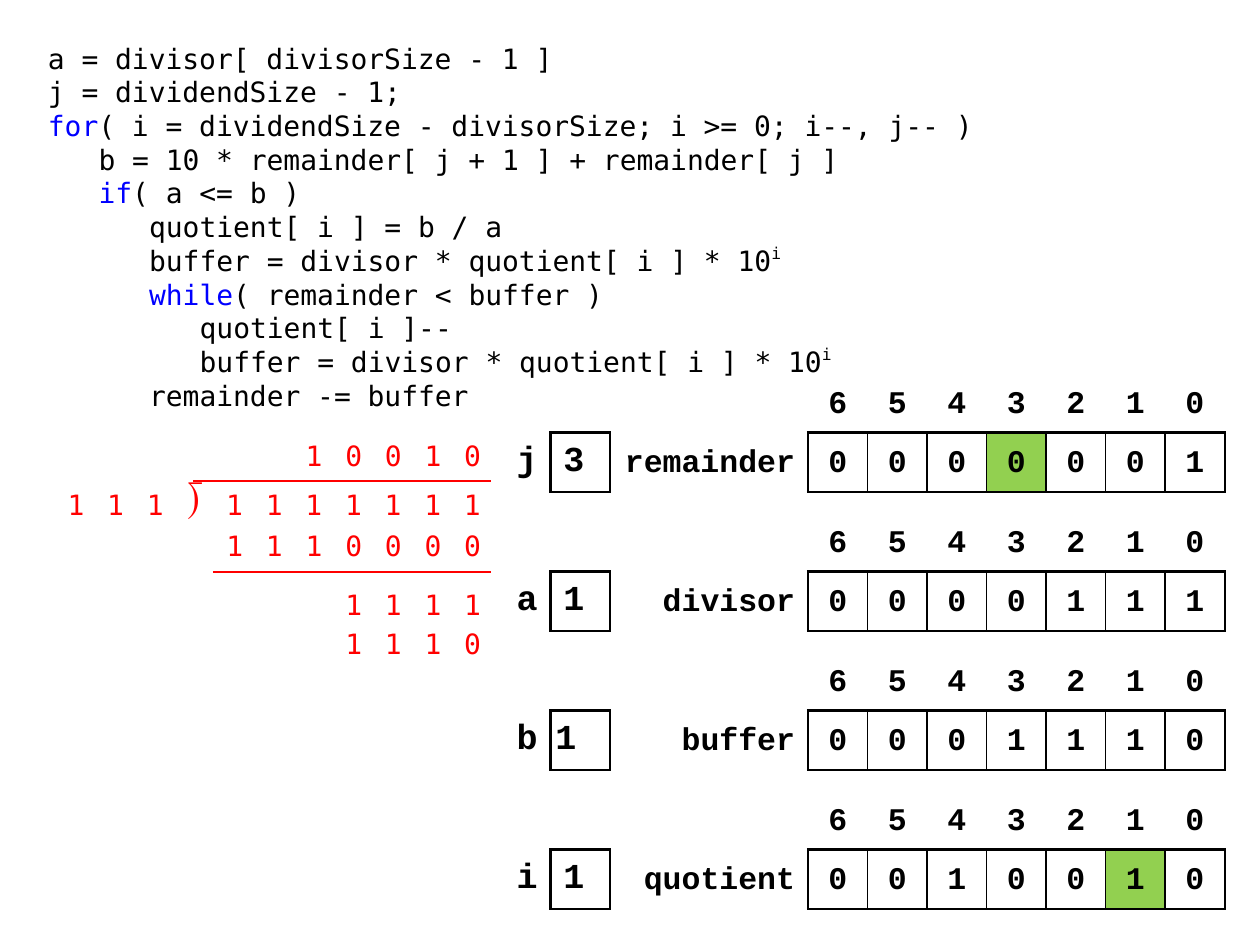
from pptx import Presentation
from pptx.dml.color import RGBColor
from pptx.enum.shapes import MSO_CONNECTOR as Connector
from pptx.enum.text import MSO_ANCHOR as Anchor, PP_ALIGN as Align
from pptx.oxml.ns import qn
from pptx.util import Pt
from lxml.etree import SubElement

SCALE = 914400 / 126
BLACK = RGBColor(0x00, 0x00, 0x00)
BLUE = RGBColor(0x00, 0x00, 0xFF)
RED = RGBColor(0xFF, 0x00, 0x00)
GREEN = RGBColor(0x92, 0xD0, 0x50)
NO_STYLE = "{2D5ABB26-0587-4C30-8999-92F81FD0307C}"
MONO = "DejaVu Sans Mono"
COURIER = "Courier New"

CODE = [
    (0, "", "a = divisor[ divisorSize - 1 ]", ""),
    (0, "", "j = dividendSize - 1;", ""),
    (0, "for", "( i = dividendSize - divisorSize; i >= 0; i--, j-- )", ""),
    (1, "", "b = 10 * remainder[ j + 1 ] + remainder[ j ]", ""),
    (1, "if", "( a <= b )", ""),
    (2, "", "quotient[ i ] = b / a", ""),
    (2, "", "buffer = divisor * quotient[ i ] * 10", "i"),
    (2, "while", "( remainder < buffer )", ""),
    (3, "", "quotient[ i ]--", ""),
    (3, "", "buffer = divisor * quotient[ i ] * 10", "i"),
    (2, "", "remainder -= buffer", ""),
]
REGISTERS = [
    ("remainder", "0000001", 3, "j", "3", 13),
    ("divisor", "0000111", None, "a", "1", 13),
    ("buffer", "0001110", None, "b", "1", 5),
    ("quotient", "0010010", 5, "i", "1", 13),
]


def px(length):
    return round(length * SCALE)


def write(para, text, font=MONO, size=16, color=BLACK, bold=False, raised=False):
    span = para.add_run()
    span.text = text
    span.font.name = font
    span.font.size = Pt(size)
    span.font.bold = bold
    span.font.color.rgb = color
    if raised:
        span._r.get_or_add_rPr().set("baseline", "44000")


def add_grid(page, box, widths, rows=1):
    left, top, width, height = map(px, box)
    frame = page.shapes.add_table(rows, len(widths), left, top, width, height)
    grid = frame.table
    grid.first_row = grid.horz_banding = False
    grid._tbl.tblPr.find(qn("a:tableStyleId")).text = NO_STYLE
    for column, column_width in zip(grid.columns, widths):
        column.width = px(column_width)
    for row in grid.rows:
        row.height = height // rows
    for cell in grid.iter_cells():
        cell.fill.background()
    return grid


def fill_cell(cell, text, align=Align.CENTER, anchor=Anchor.TOP,
              side=13, edge=5, spacing=1.25, **style):
    cell.margin_left = cell.margin_right = px(side)
    cell.margin_top = cell.margin_bottom = px(edge)
    cell.vertical_anchor = anchor
    para = cell.text_frame.paragraphs[0]
    para.alignment = align
    para.line_spacing = spacing
    write(para, text, **style)


def frame_cell(cell, left=1.5, right=1.5, color=None):
    properties = cell._tc.get_or_add_tcPr()
    sides = (("L", left), ("R", right), ("T", 1.5), ("B", 1.5))
    for place, (side, width) in enumerate(sides):
        line = SubElement(properties, qn(f"a:ln{side}"), w=str(Pt(width)))
        SubElement(SubElement(line, qn("a:solidFill")), qn("a:srgbClr"), val=str(BLACK))
        properties.insert(place, line)
    if color:
        cell.fill.solid()
        cell.fill.fore_color.rgb = color


def add_code(page, box):
    frame = page.shapes.add_textbox(*map(px, box)).text_frame
    frame.word_wrap = True
    frame.margin_left = px(13)
    for number, (depth, keyword, rest, power) in enumerate(CODE):
        para = frame.add_paragraph() if number else frame.paragraphs[0]
        para.line_spacing = Pt(19.25)
        if depth:
            para._p.get_or_add_pPr().set("marL", str(depth * Pt(28.9)))
        if keyword:
            write(para, keyword, color=BLUE)
        write(para, rest)
        if power:
            write(para, power, raised=True)


def add_register(page, box, name, digits, marked, variable, value, value_side):
    left, top, width, height = box
    label_width, variable_width = 198, 119
    row_height = height / 2
    count = len(digits)
    widths = [label_width] + [(width - label_width) / count] * count
    grid = add_grid(page, box, widths, rows=2)
    style = dict(font=COURIER, size=18, bold=True)
    fill_cell(grid.cell(1, 0), name, align=Align.RIGHT, **style)
    for place, digit in enumerate(digits):
        cell = grid.cell(1, place + 1)
        fill_cell(grid.cell(0, place + 1), str(count - 1 - place), **style)
        fill_cell(cell, digit, **style)
        frame_cell(cell, left=1 if place else 1.5,
                   right=1 if place < count - 1 else 1.5,
                   color=GREEN if place == marked else None)

    pair_box = (left - variable_width, top + row_height, variable_width, row_height)
    pair = add_grid(page, pair_box, [variable_width / 2] * 2)
    style.update(size=20, anchor=Anchor.MIDDLE, spacing=1.0)
    fill_cell(pair.cell(0, 0), variable, align=Align.RIGHT, **style)
    fill_cell(pair.cell(0, 1), value, align=Align.LEFT, side=value_side, **style)
    frame_cell(pair.cell(0, 1))


def add_rule(page, start, end, y):
    rule = page.shapes.add_connector(
        Connector.STRAIGHT, px(start), px(y), px(end), px(y))
    rule.line.color.rgb = RED
    rule.line.width = Pt(1.5)
    SubElement(rule._element.spPr, qn("a:effectLst"))


def add_division(page, box):
    left, top, width, height = box
    right, step, row_height = left + width, width / 12, 59
    rows = [
        (0, "  10010", Anchor.TOP),
        (39, " 111⟌1111111", Anchor.MIDDLE),
        (80, "1110000", Anchor.MIDDLE),
        (139, "   1111", Anchor.MIDDLE),
        (height - row_height, "   1110", Anchor.MIDDLE),
    ]
    for offset, digits, anchor in rows:
        row_width = step * len(digits)
        row_box = (right - row_width, top + offset, row_width, row_height)
        grid = add_grid(page, row_box, [step] * len(digits))
        for cell, digit in zip(grid.iter_cells(), digits):
            if digit == "⟌":
                fill_cell(cell, digit, edge=0, font="Cambria", size=22, color=RED)
            elif digit != " ":
                fill_cell(cell, digit, anchor=anchor, edge=0, color=RED)
    add_rule(page, left + 178, right, top + 48)
    add_rule(page, left + 198, right, top + 139)


deck = Presentation()
deck.slide_width, deck.slide_height = px(1260), px(945)
page = deck.slides.add_slide(deck.slide_layouts[6])
add_code(page, (35, 35, 1032, 377))
add_division(page, (15, 433, 476, 237))
for number, register in enumerate(REGISTERS):
    add_register(page, (610, 373 + 139 * number, 615, 119), *register)
deck.save("out.pptx")
